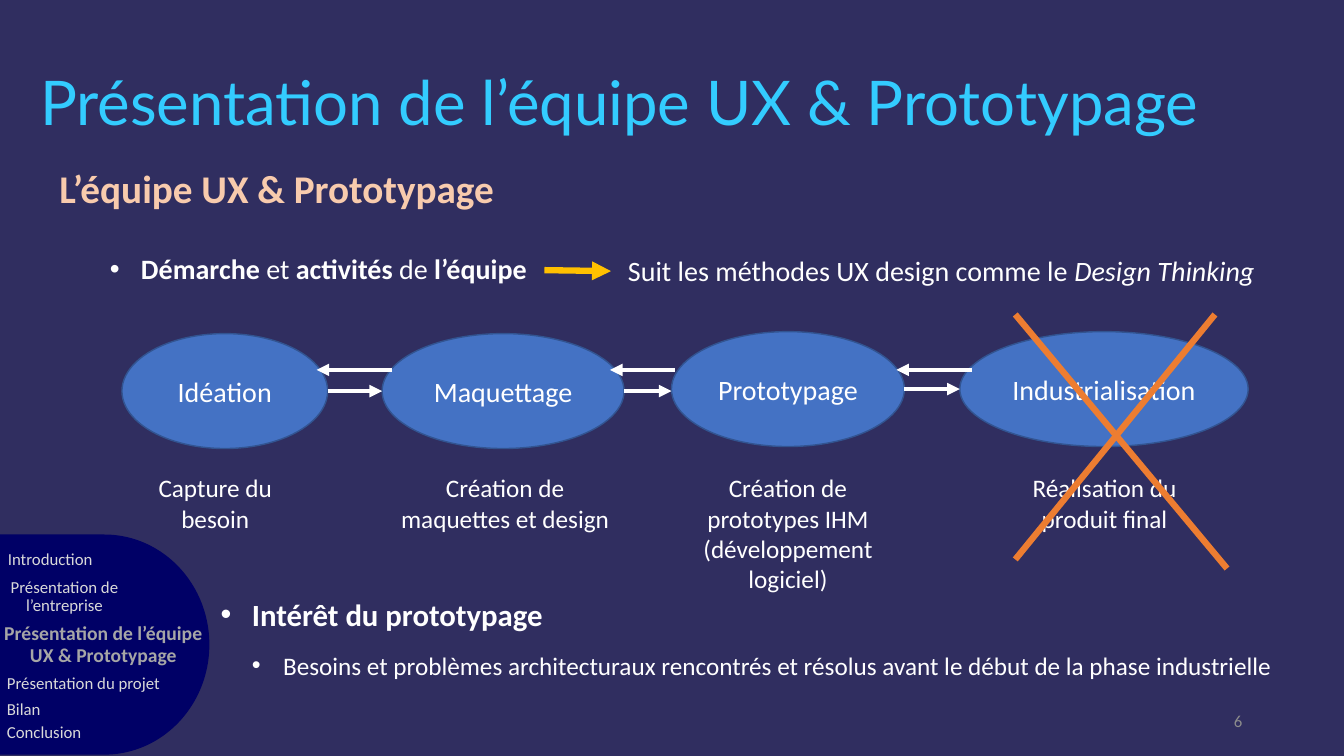
from lxml import etree
from pptx import Presentation, util as u
from pptx.dml.color import RGBColor
from pptx.enum import shapes as s, text as t
from pptx.oxml import ns

CELL = u.Inches(0.1)
COLUMNS, ROWS = 133.3, 75

NIGHT = RGBColor(0x30, 0x2E, 0x60)
NAVY = RGBColor(0x00, 0x00, 0x66)
BLUE = RGBColor(0x44, 0x72, 0xC4)
BLUE_EDGE = RGBColor(0x32, 0x54, 0x91)
CYAN = RGBColor(0x33, 0xCC, 0xFF)
PEACH = RGBColor(0xF8, 0xCB, 0xAD)
GOLD = RGBColor(0xFF, 0xC0, 0x00)
ORANGE = RGBColor(0xED, 0x7D, 0x31)
WHITE = RGBColor(0xFF, 0xFF, 0xFF)
PALE = RGBColor(0xD9, 0xD9, 0xD9)
SILVER = RGBColor(0xA6, 0xA6, 0xA6)
GREY = RGBColor(0x8C, 0x8C, 0x8C)

CENTER, RIGHT = t.PP_ALIGN.CENTER, t.PP_ALIGN.RIGHT
MIDDLE, TOP = t.MSO_ANCHOR.MIDDLE, t.MSO_ANCHOR.TOP

STAGES = [
    ((12.1, 33.1, 20.4, 11.4), "Idéation", (12.1, 46.4, 18.5, 7.1), "Capture du besoin"),
    ((37.9, 33.1, 24, 11.4), "Maquettage", (38.1, 46.4, 24, 7.1),
     "Création de maquettes et design"),
    ((66.6, 32.9, 23.1, 11.4), "Prototypage", (67.4, 46.4, 21.5, 13.1),
     "Création de prototypes IHM (développement logiciel)"),
    ((95.2, 32.9, 28.6, 11.4), "Industrialisation", (100.3, 46.4, 18.5, 7.1),
     "Réalisation du produit final"),
]
RETURN_ROW = 36.7
RETURNS = [(38.9, 31.4), (66.9, 60.5), (96.4, 88.9)]

MENU = [
    ((-5.2, 54.2, 19.3, 4), "Introduction", {}),
    ((-7.6, 56.9, 23, 9.1), "Présentation de l’entreprise", {"align": CENTER}),
    ((-6.3, 61.4, 28.1, 8.1), "Présentation de l’équipe UX & Prototypage",
     {"align": CENTER, "size": 14, "color": SILVER, "bold": True}),
    ((-5.3, 66.5, 45.1, 4.2), "Présentation du projet", {}),
    ((-5.3, 69, 17.3, 4.2), "Bilan", {}),
    ((-5.3, 71.3, 23.3, 4.2), "Conclusion", {}),
]


def cells(*counts):
    """Turn grid counts into lengths."""
    return [round(count * CELL) for count in counts]


def write(frame, *spans, size=18, color=WHITE, font="Calibri", bold=False,
          align=None, anchor=TOP, spacing=None, indent=0, bullet=False):
    """Write spans, each a string or a (string, bold, italic) triple, as one paragraph."""
    frame.word_wrap = True
    frame.vertical_anchor = anchor
    para = frame.paragraphs[0]
    properties = para._p.get_or_add_pPr()
    if indent:
        properties.set("marL", str(round(indent * CELL)))
    if bullet:
        properties.set("indent", str(-round(indent * CELL)))
        etree.SubElement(properties, ns.qn("a:buFont")).set("typeface", "Arial")
        etree.SubElement(properties, ns.qn("a:buChar")).set("char", "•")
    if align is not None:
        para.alignment = align
    if spacing:
        para.line_spacing = spacing
    for part in spans:
        words, strong, slanted = (part, bold, False) if isinstance(part, str) else part
        span = para.add_run()
        span.text = words
        span.font.name = font
        span.font.size = u.Pt(size)
        span.font.bold = strong
        span.font.italic = slanted
        span.font.color.rgb = color


def add_text(shapes, place, *spans, grow=True, **style):
    """Add a text box on the grid."""
    box = shapes.add_textbox(*cells(*place))
    write(box.text_frame, *spans, **style)
    if grow:
        box.text_frame.auto_size = t.MSO_AUTO_SIZE.SHAPE_TO_FIT_TEXT


def add_solid(shapes, kind, place, fill, edge):
    """Add a flat shape with a fill and a thin outline."""
    shape = shapes.add_shape(kind, *cells(*place))
    shape.shadow.inherit = False
    shape.fill.solid()
    shape.fill.fore_color.rgb = fill
    shape.line.color.rgb = edge
    shape.line.width = u.Pt(1)
    return shape


def add_line(shapes, start, end, color, width, arrow=False):
    """Add a straight line, with an arrowhead at its end if asked."""
    line = shapes.add_connector(s.MSO_CONNECTOR.STRAIGHT, *cells(*start, *end))
    line.line.color.rgb = color
    line.line.width = u.Pt(width)
    if arrow:
        etree.SubElement(line.line._get_or_add_ln(), ns.qn("a:tailEnd")).set("type", "triangle")
    etree.SubElement(line._element.spPr, ns.qn("a:effectLst"))


def add_process(page):
    """Draw the stages, their captions and the arrows between them."""
    shapes = page.shapes.add_group_shape().shapes
    for place, name, caption_place, caption in STAGES:
        oval = add_solid(shapes, s.MSO_SHAPE.OVAL, place, BLUE, BLUE_EDGE)
        oval.text_frame.margin_left = oval.text_frame.margin_right = 0
        write(oval.text_frame, name, size=20, align=CENTER, anchor=MIDDLE)
        add_text(shapes, caption_place, caption, align=CENTER)
    for stage, following, (start, end) in zip(STAGES, STAGES[1:], RETURNS):
        left, top, width, height = stage[0]
        row = top + height / 2
        add_line(shapes, (left + width, row), (following[0][0], row), WHITE, 3, arrow=True)
        add_line(shapes, (start, RETURN_ROW), (end, RETURN_ROW), WHITE, 3, arrow=True)


def add_cross(page):
    """Cross out the last stage."""
    shapes = page.shapes.add_group_shape().shapes
    add_line(shapes, (100.7, 31.2), (121.7, 56.4), ORANGE, 4.5)
    add_line(shapes, (100.7, 55.5), (120.5, 31.2), ORANGE, 4.5)


def add_menu(page):
    """Draw the outline of the talk in the corner."""
    shapes = page.shapes.add_group_shape().shapes
    add_solid(shapes, s.MSO_SHAPE.FLOWCHART_DELAY, (0, 53.1, 20.7, 21.7), NAVY, NAVY)
    for place, entry, changes in MENU:
        style = {"size": 12, "color": PALE, "spacing": 0.9, "indent": 5, **changes}
        add_text(shapes, place, entry, grow=False, **style)


def main():
    """Build the slide and save it."""
    deck = Presentation()
    deck.slide_width, deck.slide_height = cells(COLUMNS, ROWS)
    page = deck.slides.add_slide(deck.slide_layouts[6])
    page.background.fill.solid()
    page.background.fill.fore_color.rgb = NIGHT
    shapes = page.shapes

    add_text(shapes, (3, 3.2, 127.4, 14.5), "Présentation de l’équipe UX & Prototypage",
             grow=False, size=44, color=CYAN, font="Lato", anchor=MIDDLE, spacing=0.9)
    add_text(shapes, (4.9, 15.8, 58, 5.7), "L’équipe UX & Prototypage",
             size=28, color=PEACH, bold=True)
    add_text(shapes, (9.9, 24.5, 59.8, 4.4), ("Démarche ", True, False), "et",
             (" activités ", True, False), "de", (" l’équipe", True, False),
             size=20, indent=3.1, bullet=True)
    add_line(shapes, (54, 26.8), (60.6, 26.9), GOLD, 4.5, arrow=True)
    add_text(shapes, (61.3, 24.7, 69, 4.4), "Suit les méthodes UX design comme le ",
             ("Design Thinking", False, True), size=20)
    add_process(page)
    add_cross(page)
    add_text(shapes, (20.9, 58.6, 48.8, 4.7), "Intérêt du prototypage",
             size=22, bold=True, indent=3.1, bullet=True)
    add_text(shapes, (24, 64, 108.3, 4),
             "Besoins et problèmes architecturaux rencontrés et résolus "
             "avant le début de la phase industrielle", indent=3.1, bullet=True)
    add_menu(page)
    add_text(shapes, (94.2, 69.5, 30, 4), "6", grow=False, size=12, color=GREY,
             align=RIGHT, anchor=MIDDLE)
    deck.save("out.pptx")


if __name__ == "__main__":
    main()
